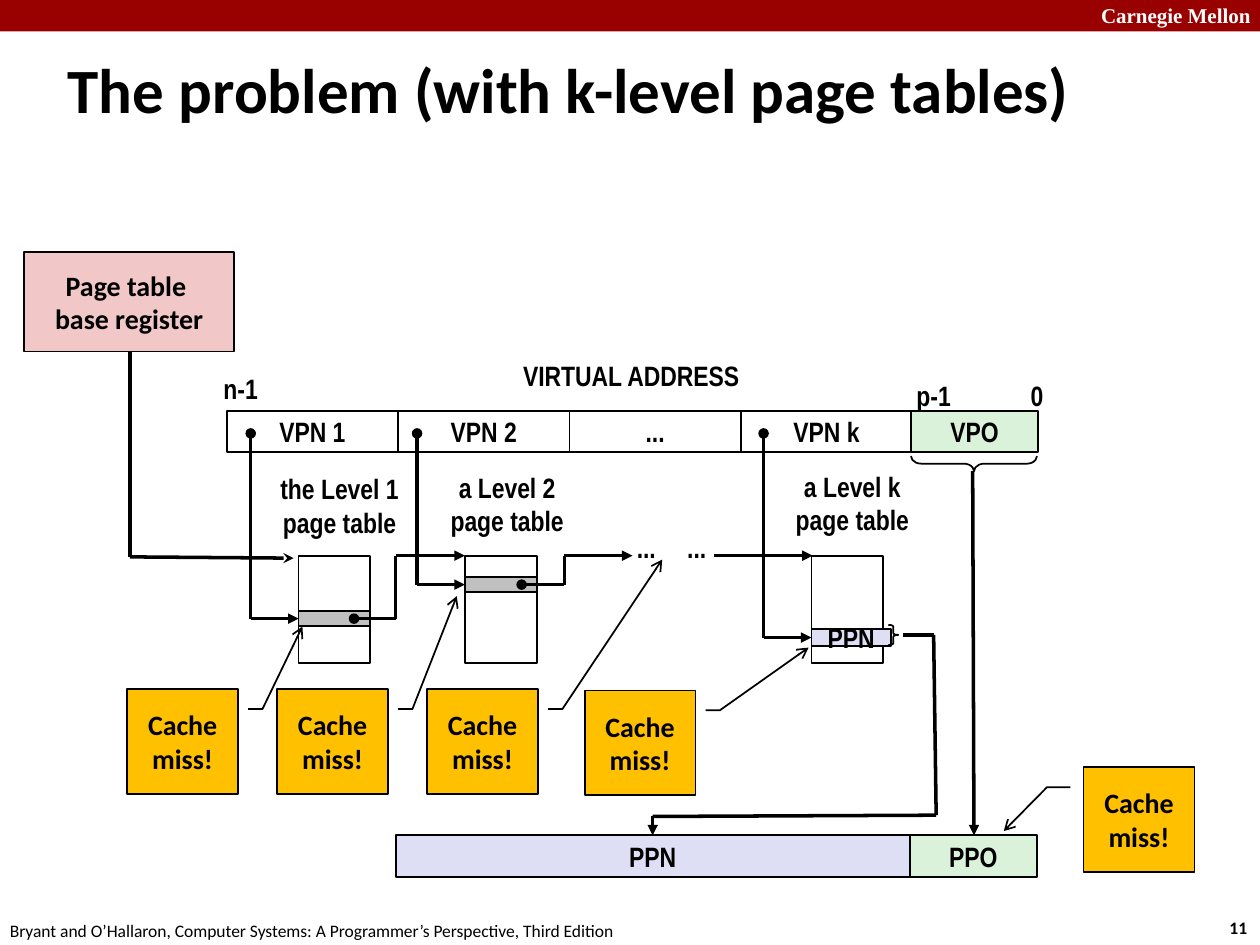
from lxml import etree
from pptx import Presentation
from pptx.dml.color import RGBColor
from pptx.enum.shapes import MSO_CONNECTOR, MSO_SHAPE
from pptx.enum.text import MSO_ANCHOR, PP_ALIGN
from pptx.oxml.ns import qn
from pptx.util import Inches, Pt

RECTANGLE = MSO_SHAPE.RECTANGLE
BRACE = MSO_SHAPE.RIGHT_BRACE
CALLOUT = MSO_SHAPE.LINE_CALLOUT_2
STRAIGHT = MSO_CONNECTOR.STRAIGHT
LEFT, CENTER = PP_ALIGN.LEFT, PP_ALIGN.CENTER
MIDDLE, TOP = MSO_ANCHOR.MIDDLE, MSO_ANCHOR.TOP

COLORS = {
    "black": "000000", "white": "FFFFFF", "banner": "990000",
    "register": "F1C7C7", "offset": "DBF2DA", "page": "DEDFF5",
    "entry": "C0C0C0", "miss": "FFC000",
}
NARROW, SANS, SERIF = "Arial Narrow", "Calibri", "Times New Roman"

FIELD_LEFT, FIELD_TOP, FIELD_WIDTH, FIELD_HEIGHT = 1.8, 3.26, 1.36, 0.33
FIELDS = ["VPN 1", "VPN 2", "...", "VPN k"]
OFFSET_LEFT, OFFSET_WIDTH = 7.23, 1.01
PHYSICAL_LEFT, PHYSICAL_TOP = 3.14, 6.63

TABLE_TOP, TABLE_WIDTH, TABLE_HEIGHT = 4.41, 0.57, 0.85
INDEX_GAP, INDEX_START = 0.38, 3.44
# left, entry centre, entry width, entry height, entry colour, entry text
PAGE_TABLES = [
    (2.37, 4.91, 0.57, 0.12, "entry", ""),
    (3.69, 4.64, 0.57, 0.12, "entry", ""),
    (6.44, 5.06, 0.63, 0.14, "page", "PPN"),
]
# points of each path, head, tail
PATHS = [
    ([(1.03, 2.79), (1.03, 4.42), (2.33, 4.43)], None, "stealth"),
    ([(2.81, 4.91), (3.14, 4.91), (3.14, 4.41), (3.69, 4.41)], "oval", "triangle"),
    ([(4.14, 4.64), (4.48, 4.64), (4.48, 4.41), (5.02, 4.41)], "oval", "triangle"),
    ([(5.67, 4.41), (6.45, 4.41)], None, "triangle"),
    ([(7.72, 3.74), (7.73, 6.63)], None, "triangle"),
    ([(7.17, 5.04), (7.41, 5.04), (7.43, 6.47), (5.18, 6.48), (5.18, 6.63)],
     None, "triangle"),
]
LABELS = [
    ("0", 8.08, 2.95, 0.3, 0.37),
    ("p-1", 7.17, 2.95, 0.48, 0.37),
    ("n-1", 1.67, 2.9, 0.48, 0.37),
    ("VIRTUAL ADDRESS", 4.04, 2.79, 1.94, 0.37),
    ("...", 4.95, 4.16, 0.36, 0.37),
    ("...", 5.35, 4.16, 0.36, 0.37),
    ("the Level 1\npage table", 2.12, 3.69, 1.15, 0.64),
    ("a Level 2\npage table", 3.47, 3.68, 1.11, 0.64),
    ("a Level k\npage table", 6.21, 3.67, 1.11, 0.64),
]
# left, top, leader start x, leader bend x, leader end y, leader end x
CACHE_MISSES = [
    (1.01, 5.47, 1.09, 1.22, -0.6, 1.58),
    (2.2, 5.47, 1.09, 1.22, -0.89, 1.62),
    (3.39, 5.47, 1.09, 1.22, -1.24, 2.12),
    (4.64, 5.48, 1.09, 1.22, -0.41, 2.02),
    (8.6, 6.09, -0.12, -0.33, 0.61, -0.72),
]
LEADER_Y = 0.19


def color(name):
    return RGBColor.from_string(COLORS[name])


def write(shape, text, size=16, font=NARROW, ink="black", bold=True,
          align=CENTER, anchor=MIDDLE, wrap=True):
    frame = shape.text_frame
    frame.text = text
    frame.word_wrap = wrap
    frame.vertical_anchor = anchor
    for paragraph in frame.paragraphs:
        paragraph.alignment = align
        paragraph.font.size = Pt(size)
        paragraph.font.name = font
        paragraph.font.bold = bold
        paragraph.font.color.rgb = color(ink)


def add_text(slide, text, left, top, width, height, **text_format):
    box = slide.shapes.add_textbox(*map(Inches, (left, top, width, height)))
    write(box, text, **text_format)


def add_box(slide, left, top, width, height, fill=None, text="",
            kind=RECTANGLE, line="black", **text_format):
    shape = slide.shapes.add_shape(kind, *map(Inches, (left, top, width, height)))
    shape.shadow.inherit = False
    if fill:
        shape.fill.solid()
        shape.fill.fore_color.rgb = color(fill)
    else:
        shape.fill.background()
    if line:
        shape.line.color.rgb = color(line)
        shape.line.width = Pt(1)
    else:
        shape.line.fill.background()
    if text:
        write(shape, text, **text_format)
    return shape


def set_line_ends(shape, head=None, tail=None):
    properties = shape._element.spPr.get_or_add_ln()
    for tag, end in (("a:headEnd", head), ("a:tailEnd", tail)):
        if end:
            etree.SubElement(properties, qn(tag), type=end)


def add_path(slide, points, head=None, tail=None):
    """Join the points with straight lines, with ends on the first and last."""
    last = len(points) - 2
    for index, (start, end) in enumerate(zip(points, points[1:])):
        connector = slide.shapes.add_connector(STRAIGHT, *map(Inches, start + end))
        connector.line.color.rgb = color("black")
        connector.line.width = Pt(2)
        set_line_ends(connector, head if index == 0 else None,
                      tail if index == last else None)
        etree.SubElement(connector._element.spPr, qn("a:effectLst"))


def add_frame(slide):
    add_box(slide, 0, 0, 10, 0.25, "banner", line=None)
    add_text(slide, "Carnegie Mellon", 8.64, -0.03, 1.43, 0.3, size=12,
             font=SERIF, ink="white", align=LEFT, anchor=TOP)
    add_text(slide, "11", 9.66, 7.23, 0.37, 0.27, size=10, font=SANS,
             align=LEFT, anchor=TOP)
    add_text(slide, "Bryant and O’Hallaron, Computer Systems: "
             "A Programmer’s Perspective, Third Edition",
             -0.02, 7.25, 5.08, 0.27, size=10, font=SANS, bold=False,
             align=LEFT, anchor=TOP)
    add_text(slide, "The problem (with k-level page tables)",
             0.44, 0.27, 9.06, 0.86, size=36, font=SANS, align=LEFT)


def add_addresses(slide):
    for index, name in enumerate(FIELDS):
        add_box(slide, FIELD_LEFT + index * FIELD_WIDTH, FIELD_TOP,
                FIELD_WIDTH, FIELD_HEIGHT, text=name)
    add_box(slide, OFFSET_LEFT, FIELD_TOP, OFFSET_WIDTH, FIELD_HEIGHT,
            "offset", "VPO")
    add_box(slide, PHYSICAL_LEFT, PHYSICAL_TOP, OFFSET_LEFT - PHYSICAL_LEFT - 0.01,
            FIELD_HEIGHT, "page", "PPN")
    add_box(slide, OFFSET_LEFT - 0.01, PHYSICAL_TOP, OFFSET_WIDTH, FIELD_HEIGHT,
            "offset", "PPO")


def add_page_tables(slide):
    for left, middle, width, height, fill, text in PAGE_TABLES:
        index_x = left - INDEX_GAP
        add_box(slide, left, TABLE_TOP, TABLE_WIDTH, TABLE_HEIGHT)
        add_path(slide, [(index_x, INDEX_START), (index_x, middle), (left, middle)],
                 "oval", "triangle")
        add_box(slide, left, middle - height / 2, width, height, fill, text)


def add_braces(slide):
    offset_brace = add_box(slide, 7.67, 3.18, 0.12, 1, kind=BRACE)
    offset_brace.rotation = 90
    offset_brace.adjustments[0] = 0.68
    entry_brace = add_box(slide, 7.05, 4.96, 0.08, 0.16, kind=BRACE)
    entry_brace.adjustments[0] = 0.16


def add_cache_misses(slide):
    for left, top, start_x, bend_x, end_y, end_x in CACHE_MISSES:
        callout = add_box(slide, left, top, 0.88, 0.83, "miss", "Cache miss!",
                          kind=CALLOUT, font=SANS)
        leader = (LEADER_Y, start_x, LEADER_Y, bend_x, end_y, end_x)
        for index, value in enumerate(leader):
            callout.adjustments[index] = value
        set_line_ends(callout, tail="arrow")


def main():
    presentation = Presentation()
    presentation.slide_width, presentation.slide_height = Inches(10), Inches(7.5)
    slide = presentation.slides.add_slide(presentation.slide_layouts[6])
    add_frame(slide)
    add_box(slide, 0.19, 2, 1.67, 0.79, "register", "Page table \vbase register",
            font=SANS)
    add_addresses(slide)
    add_page_tables(slide)
    for points, head, tail in PATHS:
        add_path(slide, points, head, tail)
    for label in LABELS:
        add_text(slide, *label, wrap=False)
    add_braces(slide)
    add_cache_misses(slide)
    presentation.save("out.pptx")


if __name__ == "__main__":
    main()
